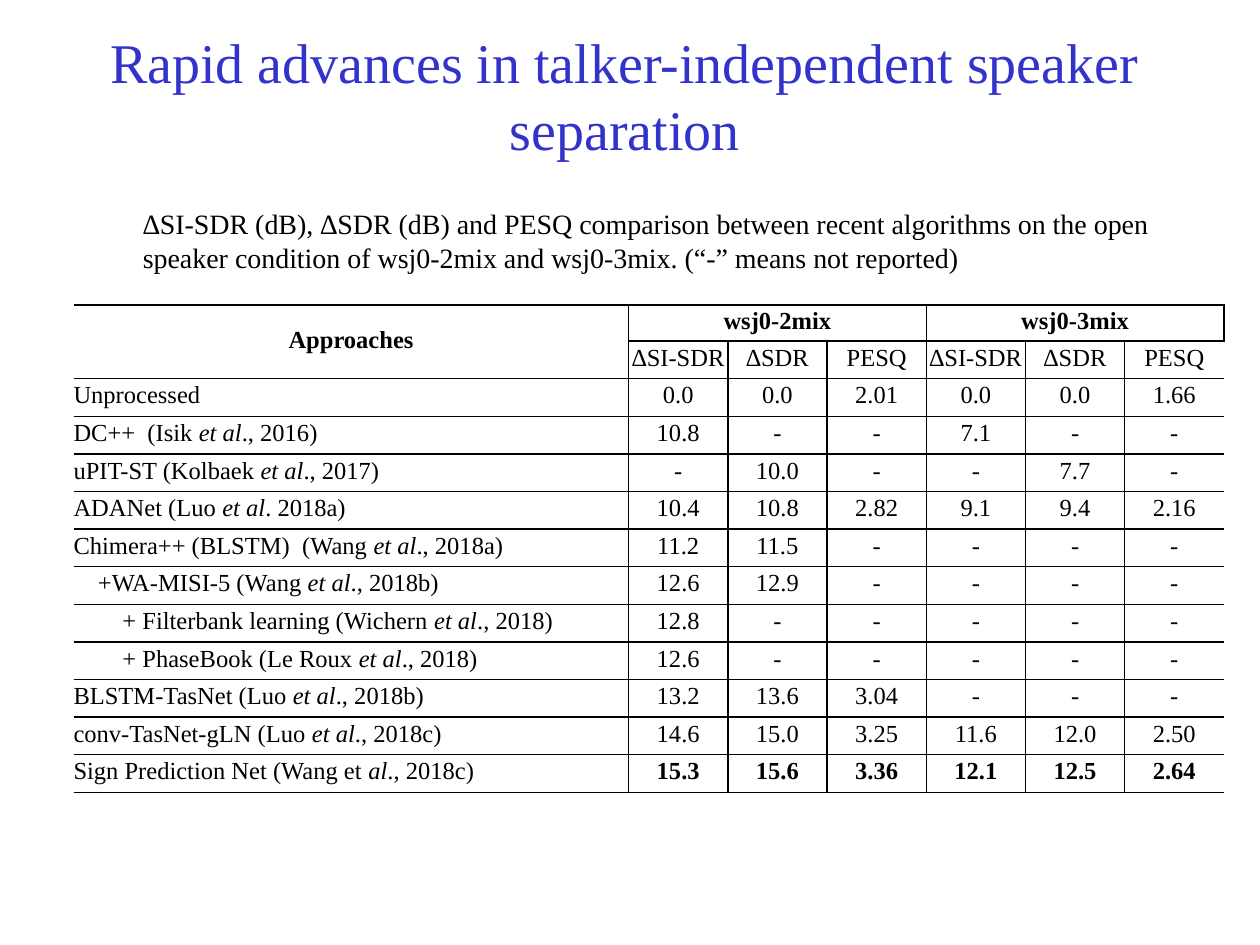
from pptx import Presentation
from pptx.dml.color import RGBColor
from pptx.enum import text
from pptx.oxml import parse_xml
from pptx.oxml.ns import nsdecls
from pptx.util import Pt

COLORS = {"title": "3333CC", "ink": "000000"}
FONT = "Times New Roman"
ALIGN = text.PP_ALIGN
METRICS = ["∆SI-SDR", "∆SDR", "PESQ"]
INDENT = 14
# Approach (asterisks enclose italics), indent level, scores
RESULTS = [
    ("Unprocessed", 0, "0.0 0.0 2.01 0.0 0.0 1.66"),
    ("DC++  (Isik *et al*., 2016)", 0, "10.8 - - 7.1 - -"),
    ("uPIT-ST (Kolbaek *et al*., 2017)", 0, "- 10.0 - - 7.7 -"),
    ("ADANet (Luo *et al*. 2018a)", 0, "10.4 10.8 2.82 9.1 9.4 2.16"),
    ("Chimera++ (BLSTM)  (Wang *et al*., 2018a)", 0, "11.2 11.5 - - - -"),
    ("+WA-MISI-5 (Wang *et al*., 2018b)", 1, "12.6 12.9 - - - -"),
    ("+ Filterbank learning (Wichern *et al*., 2018)", 2, "12.8 - - - - -"),
    ("+ PhaseBook (Le Roux *et al*., 2018)", 2, "12.6 - - - - -"),
    ("BLSTM-TasNet (Luo *et al*., 2018b)", 0, "13.2 13.6 3.04 - - -"),
    ("conv-TasNet-gLN (Luo *et al*., 2018c)", 0, "14.6 15.0 3.25 11.6 12.0 2.50"),
    ("Sign Prediction Net (Wang et* al*., 2018c)", 0, "15.3 15.6 3.36 12.1 12.5 2.64"),
]


def write_text(frame, content, size=14, color="ink", bold=False,
               align=ALIGN.CENTER, spacing=None):
    """Fill the first paragraph; asterisks in the content enclose italics."""
    paragraph = frame.paragraphs[0]
    paragraph.alignment = align
    if spacing:
        paragraph.line_spacing = spacing
    for index, part in enumerate(content.split("*")):
        run = paragraph.add_run()
        run.text = part
        run.font.name = FONT
        run.font.size = Pt(size)
        run.font.bold = bold
        run.font.italic = index % 2 == 1
        run.font.color.rgb = RGBColor.from_string(COLORS[color])


def add_text_box(slide, box, content, anchor=text.MSO_ANCHOR.TOP, indent=0, **style):
    frame = slide.shapes.add_textbox(*map(Pt, box)).text_frame
    frame.word_wrap = True
    frame.vertical_anchor = anchor
    frame.margin_left = Pt(7.2 + indent)
    write_text(frame, content, **style)


def set_borders(cell, widths):
    """Draw left, right, top and bottom borders; zero means no line."""
    properties = cell._tc.get_or_add_tcPr()
    for position, (side, width) in enumerate(zip("LRTB", widths)):
        fill = (f'<a:solidFill><a:srgbClr val="{COLORS["ink"]}"/></a:solidFill>'
                if width else "<a:noFill/>")
        properties.insert(position, parse_xml(
            f'<a:ln{side} {nsdecls("a")} w="{int(Pt(width))}">{fill}</a:ln{side}>'))


def add_results_table(slide, box):
    left, top, width, height = box
    name_width, header_height = 317.2, 20.5
    row_count, column_count = len(RESULTS) + 2, 2 * len(METRICS) + 1
    table = slide.shapes.add_table(row_count, column_count, *map(Pt, box)).table
    table.first_row = table.horz_banding = False
    for index, column in enumerate(table.columns):
        column.width = Pt((width - name_width) / (column_count - 1) if index else name_width)
    for index, row in enumerate(table.rows):
        row.height = Pt((height - header_height) / (row_count - 1) if index else header_height)

    for row in range(row_count):
        for column in range(column_count):
            cell = table.cell(row, column)
            cell.fill.background()
            cell.vertical_anchor = text.MSO_ANCHOR.MIDDLE
            cell.margin_left = cell.margin_right = cell.margin_top = cell.margin_bottom = 0
            set_borders(cell, (int(column > 0), int(column < column_count - 1),
                               1 if row else 1.5, 1))

    def write_cell(row, column, content, **style):
        write_text(table.cell(row, column).text_frame, content, spacing=0.8, **style)

    table.cell(0, 0).merge(table.cell(1, 0))
    write_cell(0, 0, "Approaches", bold=True)
    for column, name in ((1, "wsj0-2mix"), (4, "wsj0-3mix")):
        table.cell(0, column).merge(table.cell(0, column + len(METRICS) - 1))
        write_cell(0, column, name, bold=True)
        for offset, metric in enumerate(METRICS):
            write_cell(1, column + offset, metric)
    for row, (approach, level, scores) in enumerate(RESULTS, start=2):
        table.cell(row, 0).margin_left = Pt(level * INDENT)
        write_cell(row, 0, approach, align=ALIGN.JUSTIFY)
        for column, score in enumerate(scores.split(), start=1):
            write_cell(row, column, score, bold=row == row_count - 1)


def build_slide(presentation):
    slide = presentation.slides.add_slide(presentation.slide_layouts[6])
    add_text_box(slide, (42, 30, 630, 48),
                 "Rapid advances in talker-independent speaker separation",
                 anchor=text.MSO_ANCHOR.MIDDLE, size=32, color="title")
    add_text_box(slide, (38.4, 114.6, 637.2, 60),
                 "∆SI-SDR (dB), ∆SDR (dB) and PESQ comparison between recent algorithms "
                 "on the open speaker condition of wsj0-2mix and wsj0-3mix. "
                 "(“-” means not reported)",
                 indent=36, size=16, align=ALIGN.LEFT)
    add_results_table(slide, (42, 174.4, 657.4, 278.5))


def main():
    presentation = Presentation()
    presentation.slide_width, presentation.slide_height = Pt(720), Pt(540)
    build_slide(presentation)
    presentation.save("out.pptx")


if __name__ == "__main__":
    main()
